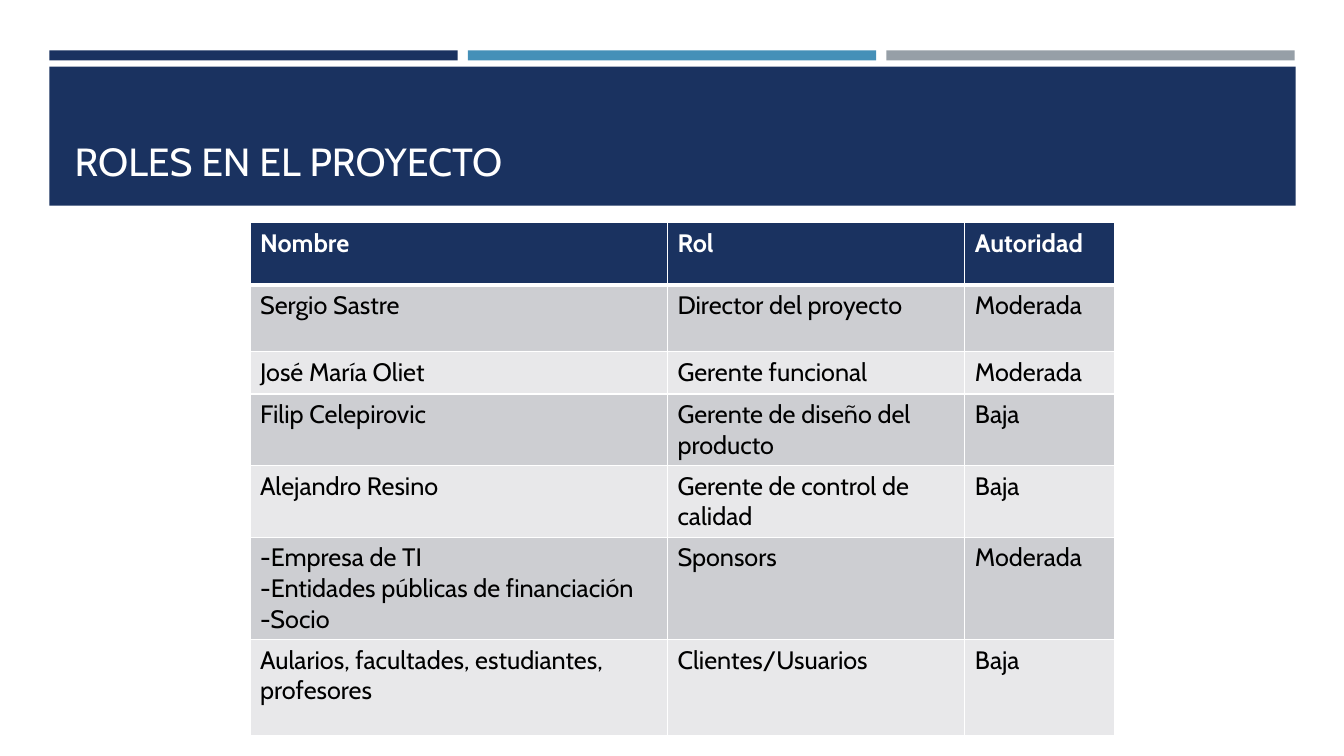
from lxml.etree import SubElement
from pptx import Presentation
from pptx.dml.color import RGBColor
from pptx.enum.shapes import MSO_SHAPE
from pptx.enum.text import MSO_ANCHOR, MSO_AUTO_SIZE, PP_ALIGN
from pptx.oxml.ns import qn
from pptx.util import Pt

EMU_PER_PX = 9144
NAVY = RGBColor(0x1A, 0x32, 0x60)
BLUE = RGBColor(0x45, 0x90, 0xB8)
GRAY = RGBColor(0x96, 0x9F, 0xA7)
BAND_DARK = RGBColor(0xCD, 0xCE, 0xD2)
BAND_LIGHT = RGBColor(0xE8, 0xE8, 0xEA)
WHITE = RGBColor(0xFF, 0xFF, 0xFF)
BLACK = RGBColor(0x00, 0x00, 0x00)

COLUMN_WIDTHS = [414, 295, 149]
ROW_HEIGHTS = [62, 66, 42, 66, 66, 95, 95]
ROLES = [
    ["Nombre", "Rol", "Autoridad"],
    ["Sergio Sastre", "Director del proyecto", "Moderada"],
    ["José María Oliet", "Gerente funcional", "Moderada"],
    ["Filip Celepirovic", "Gerente de diseño del producto", "Baja"],
    ["Alejandro Resino", "Gerente de control de calidad", "Baja"],
    ["-Empresa de TI\n-Entidades públicas de financiación\n-Socio", "Sponsors", "Moderada"],
    ["Aularios, facultades, estudiantes, profesores", "Clientes/Usuarios", "Baja"],
]


def px(length):
    return length * EMU_PER_PX


class SlideBuilder:
    font_name = "Cabin"

    def __init__(self, presentation):
        self.slide = presentation.slides.add_slide(presentation.slide_layouts[5])

    def format_text(self, text_frame, size, color, bold=False):
        for paragraph in text_frame.paragraphs:
            paragraph.alignment = PP_ALIGN.LEFT
            for run in paragraph.runs:
                run.font.name = self.font_name
                run.font.size = Pt(size)
                run.font.bold = bold
                run.font.color.rgb = color

    def add_bar(self, left, top, width, height, color):
        bar = self.slide.shapes.add_shape(
            MSO_SHAPE.RECTANGLE, px(left), px(top), px(width), px(height))
        bar.shadow.inherit = False
        bar.fill.solid()
        bar.fill.fore_color.rgb = color
        bar.line.fill.background()

    def add_title(self, text, left, top, width, height):
        title = self.slide.shapes.title
        title.left, title.top = px(left), px(top)
        title.width, title.height = px(width), px(height)
        text_frame = title.text_frame
        text_frame.text = text
        text_frame.word_wrap = True
        text_frame.auto_size = MSO_AUTO_SIZE.NONE
        text_frame.vertical_anchor = MSO_ANCHOR.BOTTOM
        self.format_text(text_frame, 28, WHITE)
        title.element.getparent().append(title.element)

    def add_borders(self, cell, widths):
        properties = cell._tc.get_or_add_tcPr()
        for side, width in widths.items():
            line = SubElement(properties, qn(f"a:ln{side}"), w=str(Pt(width)))
            fill = SubElement(line, qn("a:solidFill"))
            SubElement(fill, qn("a:srgbClr"), val=str(WHITE))

    def add_table(self, rows, left, top, column_widths, row_heights):
        table = self.slide.shapes.add_table(
            len(rows), len(column_widths), px(left), px(top),
            px(sum(column_widths)), px(sum(row_heights))).table
        for column, width in zip(table.columns, column_widths):
            column.width = px(width)
        for row, height in zip(table.rows, row_heights):
            row.height = px(height)
        for row_index, texts in enumerate(rows):
            header = row_index == 0
            band = BAND_DARK if row_index % 2 else BAND_LIGHT
            borders = {"L": 1, "R": 1, "T": 3 if row_index == 1 else 1, "B": 3 if header else 1}
            for column_index, text in enumerate(texts):
                cell = table.cell(row_index, column_index)
                cell.text_frame.text = text
                self.format_text(cell.text_frame, 18, WHITE if header else BLACK, header)
                self.add_borders(cell, borders)
                cell.fill.solid()
                cell.fill.fore_color.rgb = NAVY if header else band


def main():
    presentation = Presentation()
    presentation.slide_width, presentation.slide_height = px(1333), px(750)
    builder = SlideBuilder(presentation)
    for index, color in enumerate([NAVY, BLUE, GRAY]):
        builder.add_bar(49 + index * 415, 50, 405, 10, color)
    builder.add_bar(49, 66, 1236, 138, NAVY)
    builder.add_title("ROLES EN EL PROYECTO", 64, 80, 1206, 108)
    builder.add_table(ROLES, 248, 221, COLUMN_WIDTHS, ROW_HEIGHTS)
    presentation.save("out.pptx")


if __name__ == "__main__":
    main()
